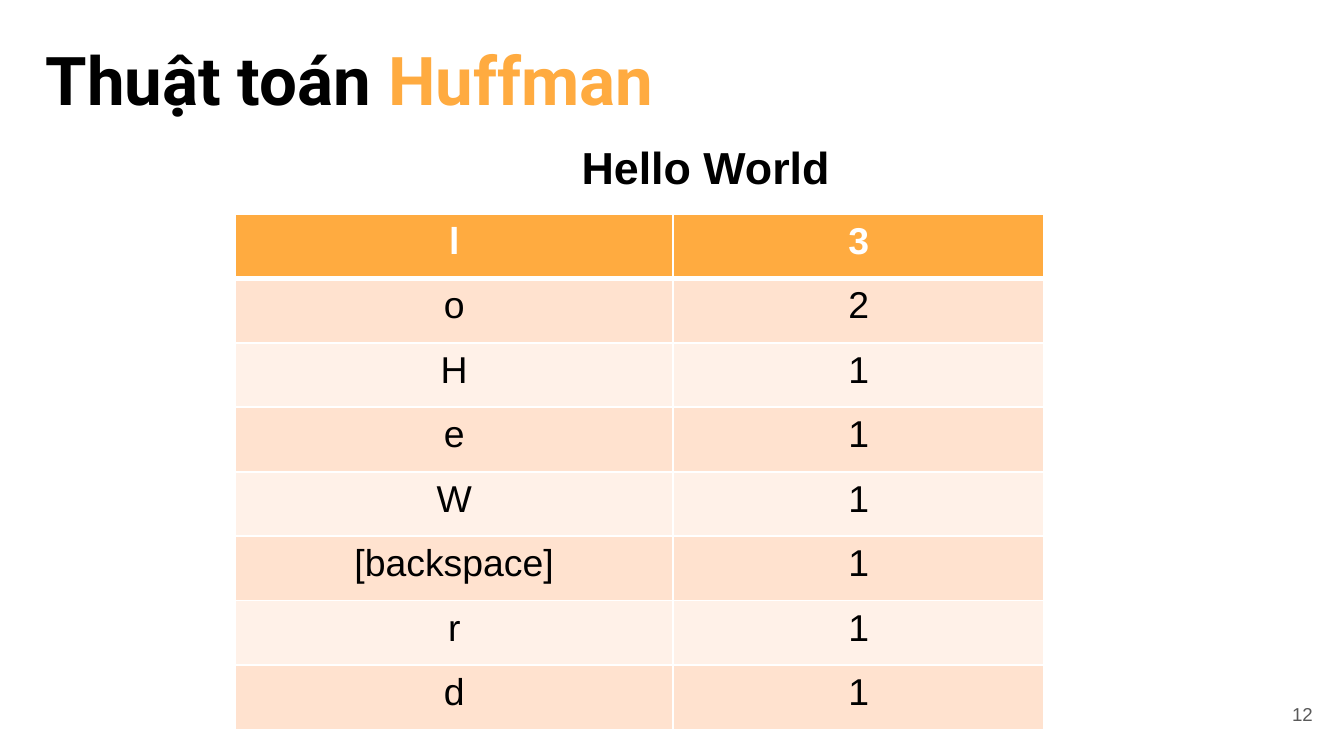
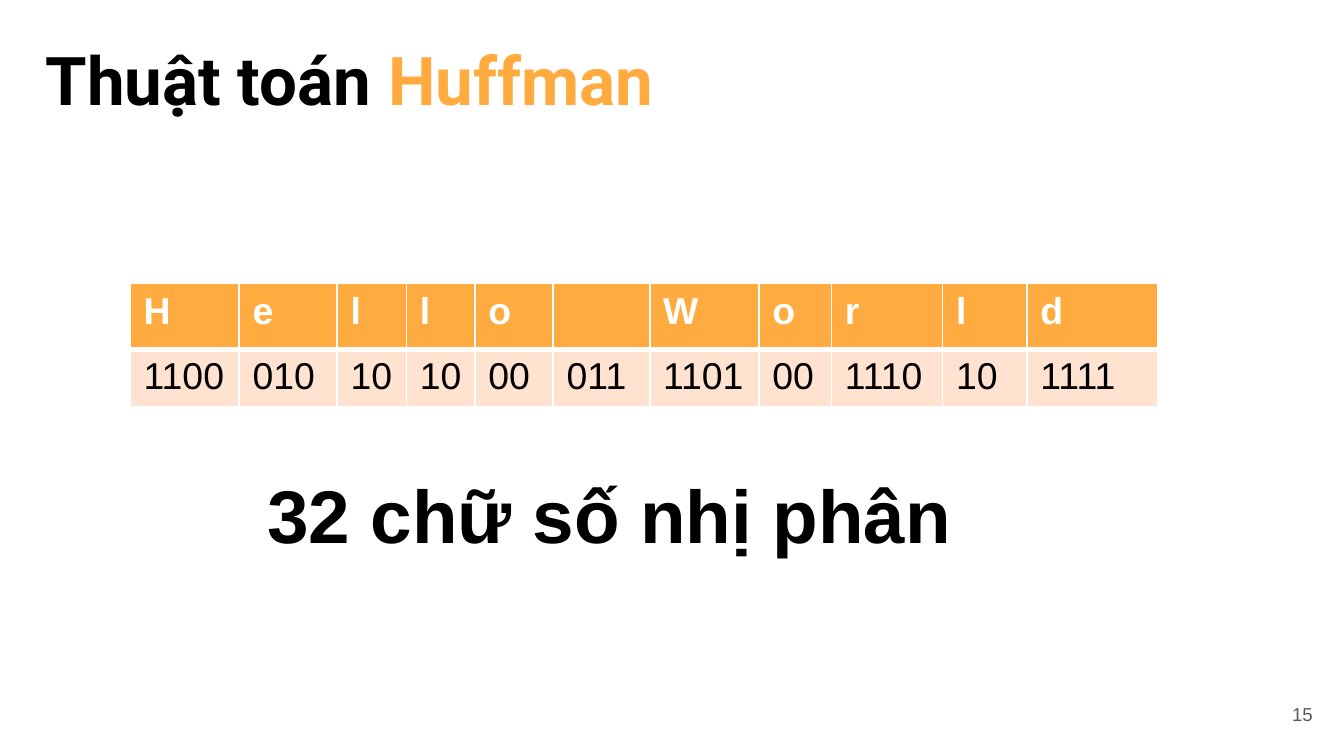
import pptx
import pptx.util
import pptx.dml.color
import pptx.enum.text
import pptx.oxml
import pptx.oxml.ns

Pt = pptx.util.Pt
ALIGN = pptx.enum.text.PP_ALIGN
ANCHOR = pptx.enum.text.MSO_ANCHOR
FIT = pptx.enum.text.MSO_AUTO_SIZE

HUES = {"ink": "000000", "paper": "FFFFFF", "accent": "FFAB40",
        "dark": "FFE2CF", "light": "FFF1E8", "grey": "595959"}
TITLE = [("Thuật toán ", "ink"), ("Huffman", "accent")]
COUNTS = [("l", "3"), ("o", "2"), ("H", "1"), ("e", "1"), ("W", "1"),
          ("[backspace]", "1"), ("r", "1"), ("d", "1")]
CODES = [("H", "1100"), ("e", "010"), ("l", "10"), ("l", "10"),
         ("o", "00"), ("", "011"), ("W", "1101"), ("o", "00"),
         ("r", "1110"), ("l", "10"), ("d", "1111")]
SLIDES = [
    {"number": "12",
     "text": ("Hello World", (198, 71.5, 360, 36), 24, ALIGN.CENTER),
     "rows": COUNTS, "at": (126, 114.5), "align": ALIGN.CENTER,
     "widths": [234.7, 198.7], "heights": [34.56] * len(COUNTS)},
    {"number": "15",
     "text": ("32 chữ số nhị phân", (136, 247.7, 407.5, 55.4), 40, ALIGN.LEFT),
     "rows": list(zip(*CODES)), "at": (69.8, 151.9), "align": ALIGN.LEFT,
     "widths": [58.3, 52.6, 37.1, 36.7, 42, 51.7, 58.5, 38.9, 59.6, 45.2, 70],
     "heights": [35.3, 31]},
]


def add_run(para, text, size, hue, bold=False, font="Arial"):
    run = para.add_run()
    run.text = text
    run.font.name = font
    run.font.size = Pt(size)
    run.font.bold = bold
    run.font.color.rgb = pptx.dml.color.RGBColor.from_string(HUES[hue])


def set_frame(frame, inset=None):
    frame.word_wrap = True
    frame.auto_size = FIT.NONE
    if inset is not None:
        frame.vertical_anchor = ANCHOR.MIDDLE
        frame.margin_left = frame.margin_right = Pt(inset)
        frame.margin_top = frame.margin_bottom = Pt(inset)


def add_title(slide):
    title = slide.shapes.title
    title.left, title.top, title.width, title.height = map(Pt, (17.3, 23, 671, 38.2))
    set_frame(title.text_frame, 7.2)
    para = title.text_frame.paragraphs[0]
    para.alignment = ALIGN.LEFT
    for text, hue in TITLE:
        add_run(para, text, 36, hue, True, "Roboto")


def add_text(slide, text, box, size, align, hue="ink", bold=True, inset=None):
    frame = slide.shapes.add_textbox(*map(Pt, box)).text_frame
    set_frame(frame, inset)
    para = frame.paragraphs[0]
    para.alignment = align
    add_run(para, text, size, hue, bold)


def set_edges(cell, top, bottom):
    props = cell._tc.get_or_add_tcPr()
    sides = {"lnL": 1, "lnR": 1, "lnT": top, "lnB": bottom}
    for spot, (side, width) in enumerate(sides.items()):
        props.insert(spot, pptx.oxml.parse_xml(
            f'<a:{side} {pptx.oxml.ns.nsdecls("a")} w="{Pt(width)}">'
            f'<a:solidFill><a:srgbClr val="{HUES["paper"]}"/></a:solidFill></a:{side}>'))


def add_grid(slide, rows, at, align, widths, heights):
    size = sum(widths), sum(heights)
    grid = slide.shapes.add_table(len(rows), len(widths), *map(Pt, at + size)).table
    for col, width in zip(grid.columns, widths):
        col.width = Pt(width)
    for r, (row, height) in enumerate(zip(rows, heights)):
        grid.rows[r].height = Pt(height)
        head = r == 0
        band = "accent" if head else "dark" if r % 2 else "light"
        for c, text in enumerate(row):
            cell = grid.cell(r, c)
            cell.fill.solid()
            cell.fill.fore_color.rgb = pptx.dml.color.RGBColor.from_string(HUES[band])
            set_edges(cell, 3 if r == 1 else 1, 3 if head else 1)
            para = cell.text_frame.paragraphs[0]
            para.alignment = align
            if text:
                add_run(para, text, 20, "paper" if head else "ink", head)


def main():
    deck = pptx.Presentation()
    deck.slide_width, deck.slide_height = Pt(720), Pt(405)
    for page in SLIDES:
        slide = deck.slides.add_slide(deck.slide_layouts.get_by_name("Title Only"))
        add_text(slide, page["number"], (667.2, 367.2, 43.2, 31), 10,
                 ALIGN.RIGHT, "grey", False, 7.2)
        add_title(slide)
        add_grid(slide, page["rows"], page["at"], page["align"],
                 page["widths"], page["heights"])
        add_text(slide, *page["text"])
    deck.save("out.pptx")


if __name__ == "__main__":
    main()
